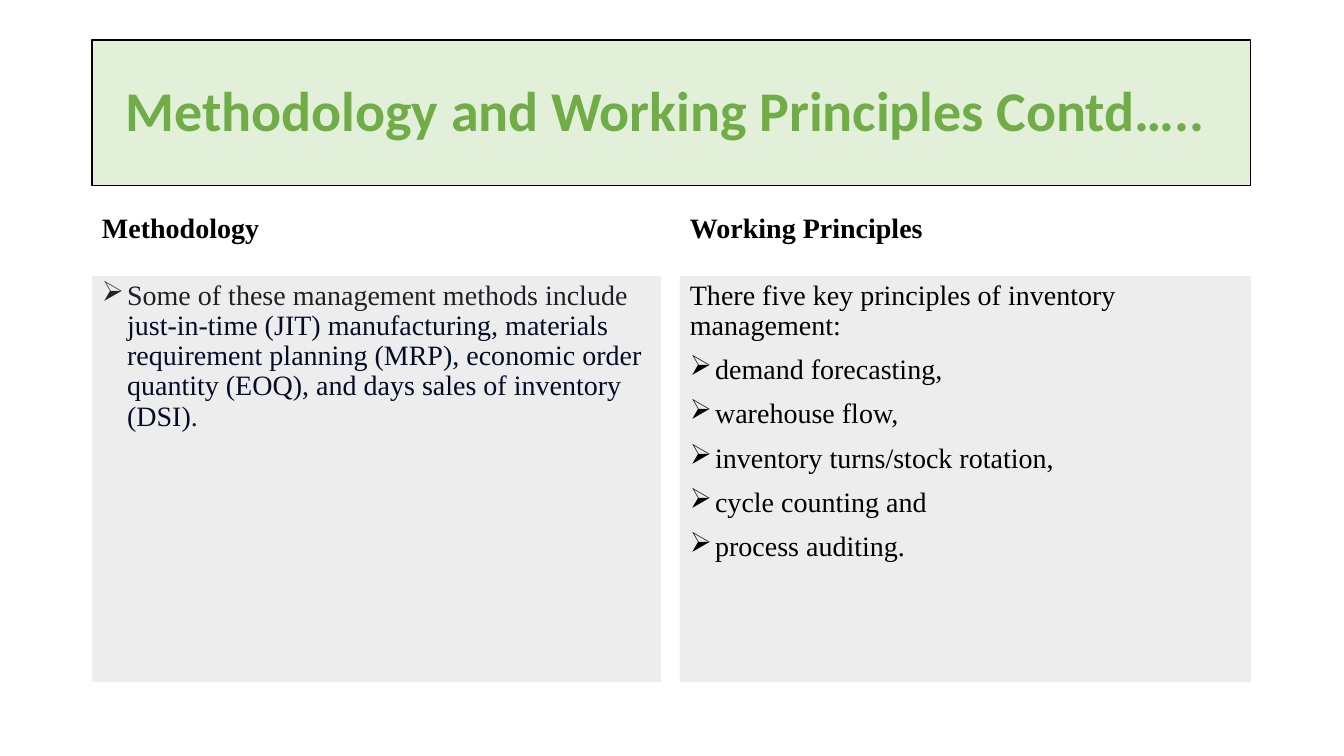
"""Builds the two-column slide on methodology and working principles."""
from lxml import etree
from pptx import Presentation, util as u
from pptx.dml.color import RGBColor
from pptx.enum import shapes, text
from pptx.oxml.ns import qn

SCALE = 914400 / 100.8
SERIF = "Times New Roman"
BLACK, GREY_INK, NAVY = "000000", "202124", "040C28"

TITLE = ("Methodology and Working Principles Contd….. ", "70AD47")
TITLE_BOX = (92, 40, 1159, 146)

METHODS = [
    (True, [
        ("Some of these management methods include\u00a0".replace("\u00a0", " "), GREY_INK),
        ("just-in-time (JIT) manufacturing, materials requirement planning (MRP), "
         "economic order quantity (EOQ), and days sales of inventory (DSI)", NAVY),
        (".", GREY_INK),
    ]),
]
PRINCIPLES = [(False, [("There five key principles of inventory management:", BLACK)])] + [
    (True, [(principle, BLACK)])
    for principle in ("demand forecasting,", "warehouse flow,", "inventory turns/stock rotation,",
                      "cycle counting and", "process auditing.")
]
COLUMNS = [
    ("Methodology", (92, 130, 569, 120), METHODS, (92, 276, 569, 406)),
    ("Working Principles", (680, 185, 552, 65), PRINCIPLES, (680, 276, 571, 406)),
]


def px(length):
    return u.Emu(round(length * SCALE))


def colour(value):
    return RGBColor.from_string(value)


def add_bullet(paragraph):
    props = paragraph._p.get_or_add_pPr()
    props.set("marL", str(u.Inches(0.25)))
    props.set("indent", str(-u.Inches(0.25)))
    etree.SubElement(props, qn("a:buChar")).set("char", "➢")


def write(frame, paragraphs, anchor, size=20, font=SERIF, bold=False,
          align=text.PP_ALIGN.LEFT, before=10):
    frame.word_wrap = True
    frame.vertical_anchor = anchor
    for index, (bulleted, pieces) in enumerate(paragraphs):
        paragraph = frame.add_paragraph() if index else frame.paragraphs[0]
        paragraph.alignment = align
        paragraph.line_spacing = 0.9
        paragraph.space_before = u.Pt(before)
        if bulleted:
            add_bullet(paragraph)
        for words, ink in pieces:
            run = paragraph.add_run()
            run.text = words
            run.font.size = u.Pt(size)
            run.font.name = font
            run.font.bold = bold
            run.font.color.rgb = colour(ink)


def add_panel(slide, box, fill, line=None):
    panel = slide.shapes.add_shape(shapes.MSO_SHAPE.RECTANGLE, *map(px, box))
    panel.shadow.inherit = False
    panel.fill.solid()
    panel.fill.fore_color.rgb = colour(fill)
    if line:
        panel.line.color.rgb = colour(line)
        panel.line.width = u.Pt(0.75)
    else:
        panel.line.fill.background()
    return panel.text_frame


def main():
    deck = Presentation()
    deck.slide_width, deck.slide_height = px(1344), px(756)
    slide = deck.slides.add_slide(deck.slide_layouts[6])

    for heading, heading_box, body, body_box in COLUMNS:
        heading_frame = slide.shapes.add_textbox(*map(px, heading_box)).text_frame
        write(heading_frame, [(False, [(heading, BLACK)])], text.MSO_ANCHOR.BOTTOM, bold=True)
        write(add_panel(slide, body_box, "EDEDED"), body, text.MSO_ANCHOR.TOP)

    write(add_panel(slide, TITLE_BOX, "E2F0D9", BLACK), [(False, [TITLE])],
          text.MSO_ANCHOR.MIDDLE, size=40, font="Calibri", bold=True,
          align=text.PP_ALIGN.CENTER, before=0)
    deck.save("out.pptx")


if __name__ == "__main__":
    main()
